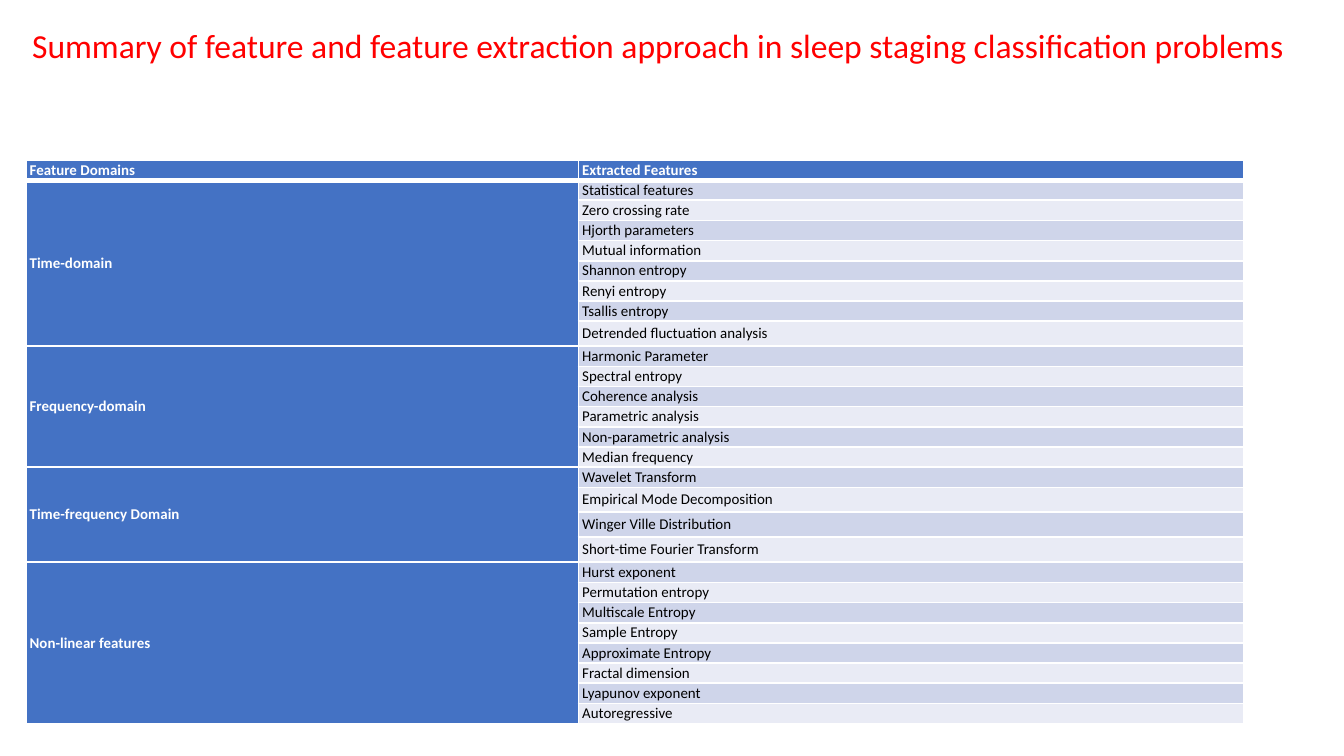
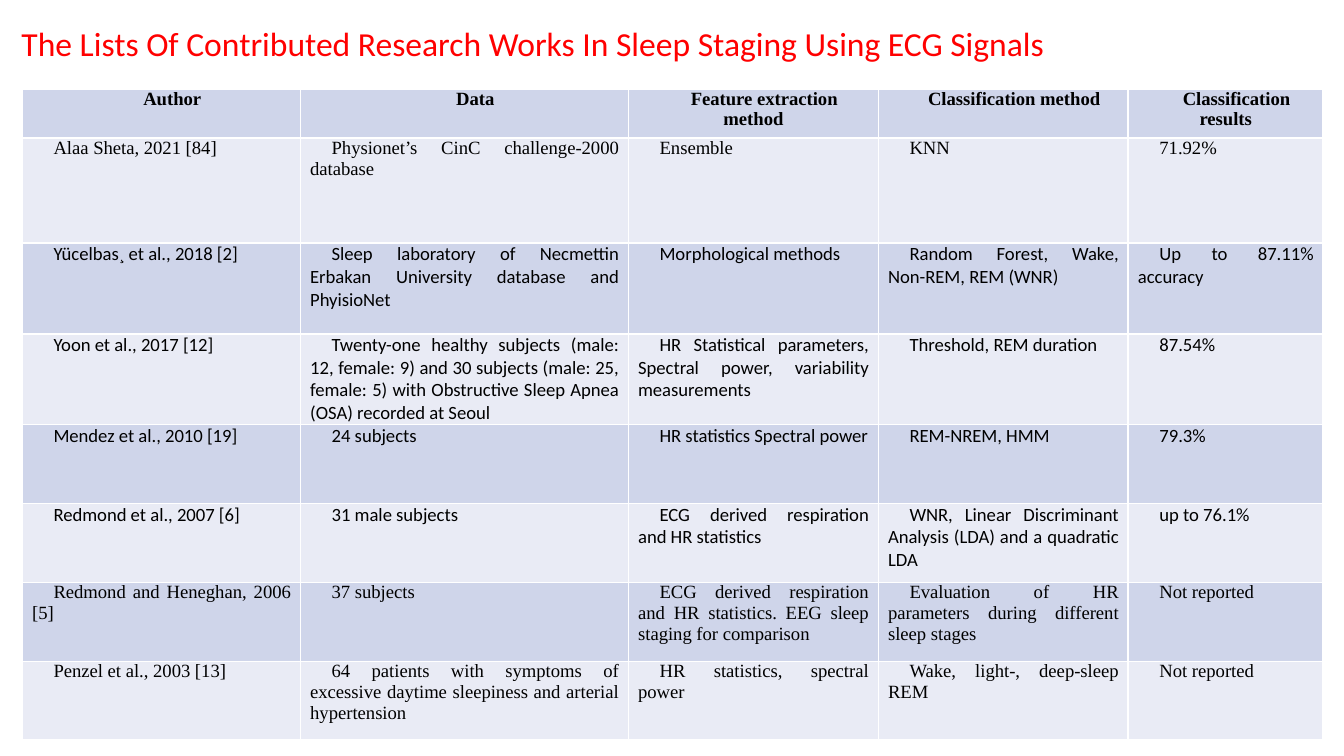
from dataclasses import dataclass

from lxml import etree
from pptx import Presentation
from pptx import util as u
from pptx.dml.color import RGBColor
from pptx.enum import text
from pptx.oxml.ns import qn


@dataclass(frozen=True)
class Theme:
    red: str = "FF0000"
    blue: str = "4472C4"
    bands: tuple = ("CFD5EA", "E9EBF5")
    white: str = "FFFFFF"
    black: str = "000000"
    sans: str = "Calibri"
    serif: str = "Times New Roman"
    title_size: float = 18
    domain_size: float = 8
    study_size: float = 10
    rule: float = 1
    header_rule: float = 3


theme = Theme()
ALIGN = text.PP_ALIGN
ANCHOR = text.MSO_ANCHOR


def add_table_page(title, title_place, align, table_place, columns, rows):
    """Add a titled page and return its empty table."""
    page = deck.slides.add_slide(deck.slide_layouts[5])
    box = page.shapes.title
    box.left, box.top, box.width, box.height = [u.Pt(n) for n in title_place]
    frame = box.text_frame
    frame.word_wrap = True
    frame.auto_size = text.MSO_AUTO_SIZE.SHAPE_TO_FIT_TEXT
    frame.vertical_anchor = ANCHOR.TOP
    para = frame.paragraphs[0]
    para.alignment = align
    span = para.add_run()
    span.text = title
    span.font.name = theme.sans
    span.font.size = u.Pt(theme.title_size)
    span.font.color.rgb = RGBColor.from_string(theme.red)

    left, top = table_place
    table = page.shapes.add_table(
        len(rows), len(columns), u.Pt(left), u.Pt(top),
        u.Pt(sum(columns)), u.Pt(sum(rows))).table
    table.first_row = table.horz_banding = False
    for column, width in zip(table.columns, columns):
        column.width = u.Pt(width)
    for row, height in zip(table.rows, rows):
        row.height = u.Pt(height)
    return table


def format_cell(cell, words, fill, size, font=theme.sans, color=theme.black,
                bold=False, align=ALIGN.LEFT, anchor=ANCHOR.TOP, inset=0,
                indent=0, after=0, above=theme.rule, below=theme.rule):
    """Border and fill a cell, then write its text if there is any."""
    cell.margin_left = cell.margin_right = u.Pt(inset)
    cell.margin_top = cell.margin_bottom = 0
    cell.vertical_anchor = anchor
    properties = cell._tc.get_or_add_tcPr()
    sides = {"lnL": theme.rule, "lnR": theme.rule, "lnT": above, "lnB": below}
    for side, width in sides.items():
        line = etree.SubElement(properties, qn("a:" + side), w=str(u.Pt(width)))
        paint = etree.SubElement(line, qn("a:solidFill"))
        etree.SubElement(paint, qn("a:srgbClr"), val=theme.white)
    cell.fill.solid()
    cell.fill.fore_color.rgb = RGBColor.from_string(fill)
    if not words:
        return
    para = cell.text_frame.paragraphs[0]
    para.alignment = align
    para.space_after = u.Pt(after)
    para._p.get_or_add_pPr().set("indent", str(u.Pt(indent)))
    span = para.add_run()
    span.text = words
    span.font.name = font
    span.font.size = u.Pt(size)
    span.font.bold = bold
    span.font.color.rgb = RGBColor.from_string(color)


deck = Presentation()
deck.slide_width, deck.slide_height = u.Pt(720), u.Pt(405)

# Page 1: features by domain
domains = {
    "Time-domain": [
        "Statistical features", "Zero crossing rate", "Hjorth parameters",
        "Mutual information", "Shannon entropy", "Renyi entropy",
        "Tsallis entropy", "Detrended fluctuation analysis"],
    "Frequency-domain": [
        "Harmonic Parameter", "Spectral entropy", "Coherence analysis",
        "Parametric analysis", "Non-parametric analysis", "Median frequency"],
    "Time-frequency Domain": [
        "Wavelet Transform", "Empirical Mode Decomposition",
        "Winger Ville Distribution", "Short-time Fourier Transform"],
    "Non-linear features": [
        "Hurst exponent", "Permutation entropy", "Multiscale Entropy",
        "Sample Entropy", "Approximate Entropy", "Fractal dimension",
        "Lyapunov exponent", "Autoregressive"],
}
tall_features = {
    "Detrended fluctuation analysis", "Empirical Mode Decomposition",
    "Winger Ville Distribution", "Short-time Fourier Transform"}
features = [name for names in domains.values() for name in names]
heights = [10.8] + [13.4 if name in tall_features else 10.8 for name in features]

table = add_table_page(
    "Summary of feature and feature extraction approach in sleep staging "
    "classification problems",
    (10, 10, 705, 29), ALIGN.JUSTIFY, (13.9, 85.7), (296, 356.4), heights)

plain = dict(size=theme.domain_size, anchor=ANCHOR.MIDDLE, inset=2, after=10)
strong = dict(plain, fill=theme.blue, color=theme.white, bold=True)
for column, heading in enumerate(("Feature Domains", "Extracted Features")):
    format_cell(table.cell(0, column), heading, below=theme.header_rule, **strong)

row = 1
for domain, names in domains.items():
    first = row
    for name in names:
        above = theme.header_rule if row == 1 else theme.rule
        label = domain if row == first else ""
        format_cell(table.cell(row, 0), label, above=above, **strong)
        format_cell(table.cell(row, 1), name, theme.bands[(row - 1) % 2],
                    above=above, **plain)
        row += 1
    table.cell(first, 0).merge(table.cell(row - 1, 0))

# Page 2: published studies
studies = [
    ("Author", "Data", "Feature extraction method", "Classification method",
     "Classification results"),
    ("Alaa Sheta, 2021 [84]", "Physionet’s CinC challenge-2000 database",
     "Ensemble", "KNN", "71.92%"),
    ("Yücelbas¸ et al., 2018 [2]",
     "Sleep laboratory of Necmettin Erbakan University database and PhyisioNet",
     "Morphological methods", "Random Forest, Wake, Non-REM, REM (WNR)",
     "Up to 87.11% accuracy"),
    ("Yoon et al., 2017 [12]",
     "Twenty-one healthy subjects (male: 12, female: 9) and 30 subjects "
     "(male: 25, female: 5) with Obstructive Sleep Apnea (OSA) recorded at Seoul",
     "HR Statistical parameters, Spectral power, variability measurements",
     "Threshold, REM duration", "87.54%"),
    ("Mendez et al., 2010 [19]", "24 subjects", "HR statistics Spectral power",
     "REM-NREM, HMM", "79.3%"),
    ("Redmond et al., 2007 [6]", "31 male subjects",
     "ECG derived respiration and HR statistics",
     "WNR, Linear Discriminant Analysis (LDA) and a quadratic LDA",
     "up to 76.1%"),
    ("Redmond and Heneghan, 2006 [5]", "37 subjects",
     "ECG derived respiration and HR statistics. EEG sleep staging for comparison",
     "Evaluation of HR parameters during different sleep stages",
     "Not reported"),
    ("Penzel et al., 2003 [13]",
     "64 patients with symptoms of excessive daytime sleepiness and arterial "
     "hypertension",
     "HR statistics, spectral power", "Wake, light-, deep-sleep REM",
     "Not reported"),
]
sans_rows = range(2, 6)

table = add_table_page(
    "The Lists Of Contributed Research Works In Sleep Staging Using ECG Signals",
    (4.3, 8.6, 720, 29), ALIGN.LEFT, (12, 47.6),
    (149, 175.7, 133.9, 133.9, 104.4),
    [26.5, 56.2, 48.6, 48.6] + [42.3] * 4)

for row, study in enumerate(studies):
    heading = row == 0
    for column, words in enumerate(study):
        format_cell(
            table.cell(row, column), words, theme.bands[row % 2],
            theme.study_size, bold=heading, inset=5.2, indent=11.5,
            font=theme.sans if row in sans_rows else theme.serif,
            align=ALIGN.CENTER if heading else ALIGN.JUSTIFY)

deck.save("out.pptx")
